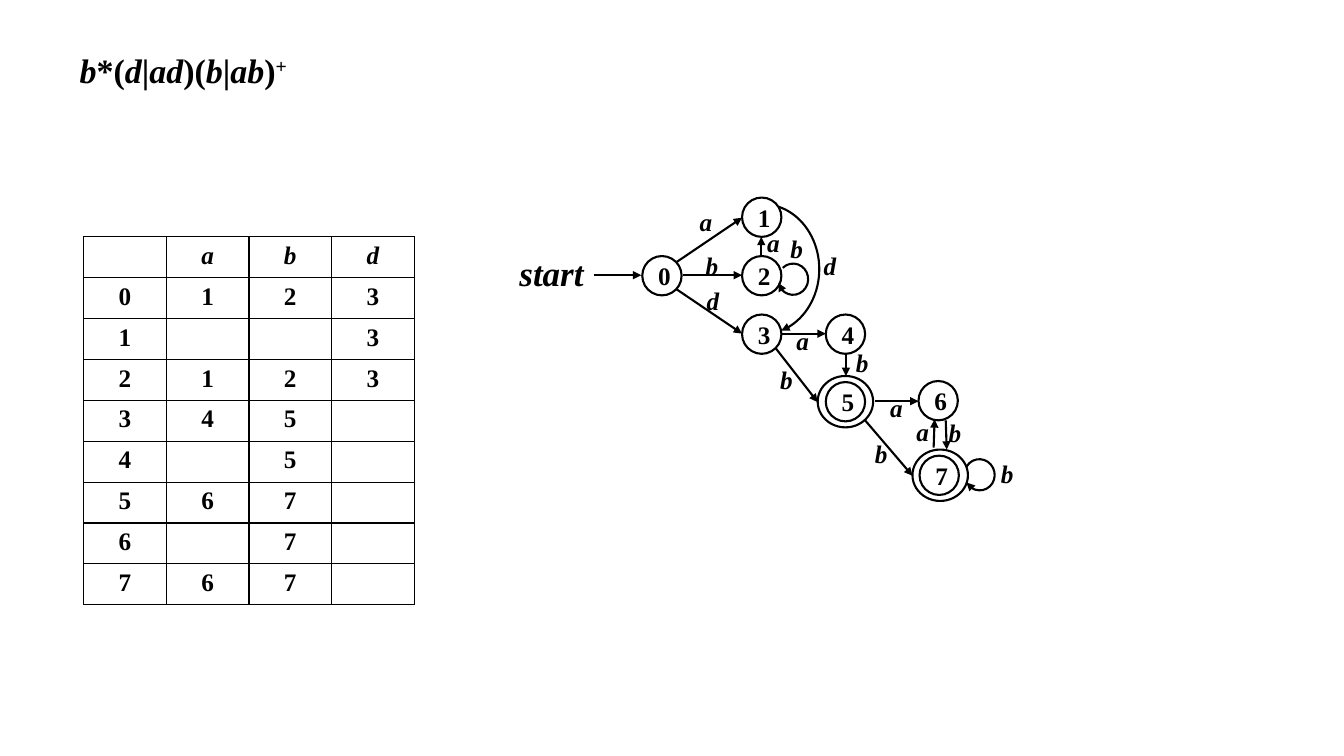
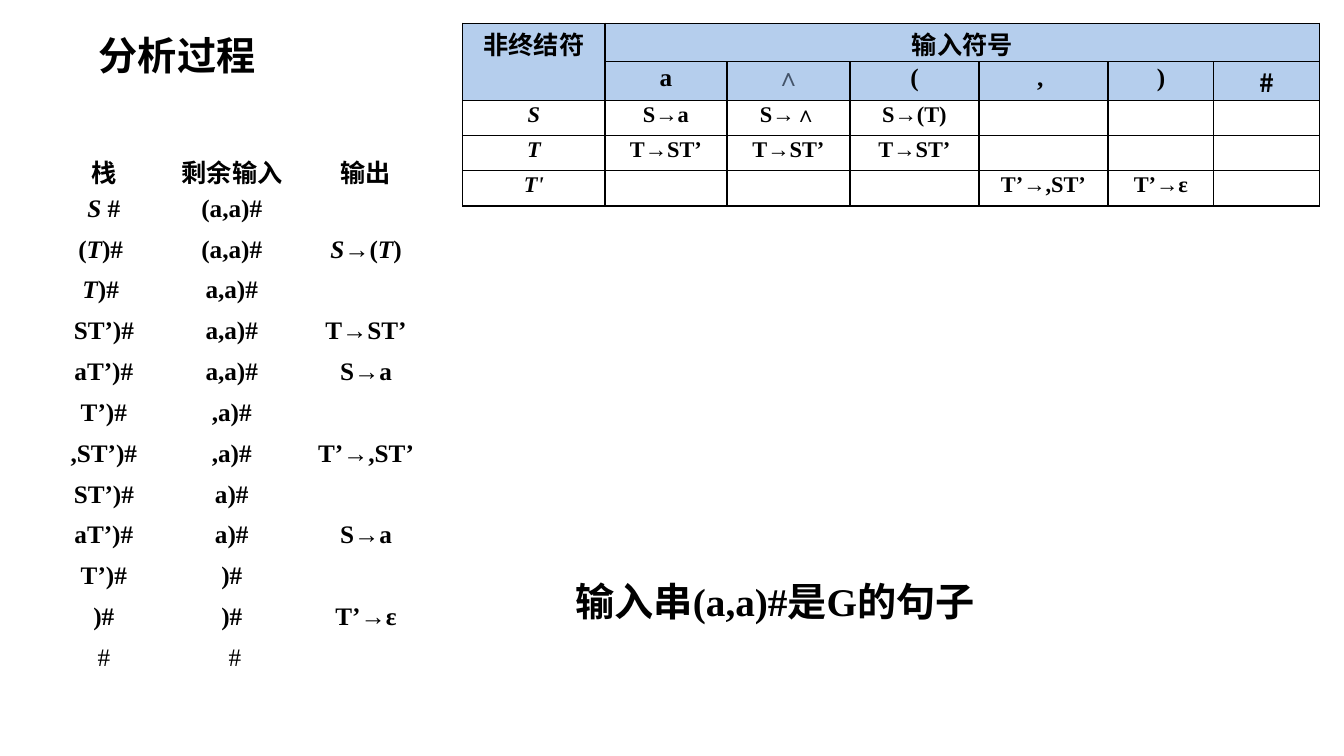
from lxml import etree
from pptx import Presentation
from pptx.dml.color import RGBColor
from pptx.enum import shapes, text
from pptx.oxml import ns
from pptx.util import Inches, Pt

COLORS = {"ink": "000000", "header": "B5CEED", "muted": "44546A"}
LATIN, CJK = "Times New Roman", "Noto Sans CJK SC"
NO_STYLE = "{2D5ABB26-0587-4C30-8999-92F81FD0307C}"
CENTER, LEFT = text.PP_ALIGN.CENTER, text.PP_ALIGN.LEFT
TOP, MIDDLE, BOTTOM = text.MSO_ANCHOR.TOP, text.MSO_ANCHOR.MIDDLE, text.MSO_ANCHOR.BOTTOM
NODE, RING = 0.39, (0.55, 0.51)

NODES = [(6.37, 2.54), (7.36, 1.96), (7.36, 2.54), (7.36, 3.12),
         (8.19, 3.12), (8.19, 3.79), (9.11, 3.78), (9.12, 4.52)]
FINAL_RINGS = [(8.11, 3.73), (9.05, 4.46)]
EDGES = [
    (5.89, 2.73, 6.36, 2.73), (6.71, 2.6, 7.36, 2.16), (6.77, 2.73, 7.36, 2.73),
    (6.71, 2.87, 7.36, 3.31), (7.55, 2.54, 7.55, 2.35), (7.75, 3.31, 8.19, 3.31),
    (7.69, 3.45, 8.11, 3.99), (8.39, 3.51, 8.39, 3.73), (8.68, 3.98, 9.11, 3.98),
    (8.58, 4.17, 9.05, 4.72), (9.38, 4.17, 9.39, 4.46), (9.26, 4.44, 9.27, 4.16),
]
ARCS = [
    (6.92, 2.11, 1.29, 1.12, 90, 116.36, 205.96),
    (7.71, 2.62, 0.31, 0.3, 94, 80.25, 42.92),
    (9.56, 4.56, 0.31, 0.3, 77.9, 80.25, 42.92),
]
EDGE_LABELS = {
    "a": [(6.84, 2), (7.51, 2.21), (7.8, 3.18), (8.73, 3.84), (8.99, 4.08)],
    "b": [(6.9, 2.43), (7.74, 2.27), (7.64, 3.57), (8.39, 3.4),
          (8.58, 4.3), (9.31, 4.09), (9.83, 4.5)],
    "d": [(6.91, 2.78), (8.07, 2.43)],
}
TRANSITIONS = [
    ["", "_a_", "_b_", "_d_"], ["0", "1", "2", "3"], ["1", "", "", "3"],
    ["2", "1", "2", "3"], ["3", "4", "5", ""], ["4", "", "5", ""],
    ["5", "6", "7", ""], ["6", "", "7", ""], ["7", "6", "7", ""],
]
PARSE_TABLE = [
    ["非终结符", "输入符号", "", "", "", "", ""],
    ["", "a", "∧", "(", ", ", ")", "#"],
    ["_S_", "S→a", "S→∧", "S→(T)", "", "", ""],
    ["_T_", "T→ST’", "T→ST’", "T→ST’", "", "", ""],
    ["_T'_", "", "", "", "T’→,ST’", "T’→ε", ""],
]
TRACE = [
    ["栈", "剩余输入 ", "输出"],
    ["_S _#", "(a,a)# ", ""],
    ["(_T_)# ", "(a,a)# ", "_S_→(_T_)"],
    ["_T_)# ", "a,a)# ", ""],
    ["ST’)#", "a,a)# ", "T→ST’"],
    ["aT’)#", "a,a)# ", "S→a"],
    ["T’)#", ",a)# ", ""],
    [",ST’)#", ",a)# ", "T’→,ST’"],
    ["ST’)#", "a)# ", ""],
    ["aT’)#", "a)# ", "S→a"],
    ["T’)#", ")# ", ""],
    [")#", ")# ", "T’→ε"],
    ["#", "#", ""],
]


def add_run(p, words, size=18, font=LATIN, color="ink", bold=True, italic=False):
    """Add one formatted run to a paragraph."""
    r = p.add_run()
    r.text = words
    f = r.font
    f.size, f.name, f.bold, f.italic = Pt(size), font, bold, italic
    f.color.rgb = RGBColor.from_string(COLORS[color])
    ea = etree.Element(ns.qn("a:ea"), typeface=CJK)
    f._element.find(ns.qn("a:latin")).addnext(ea)
    return r


def write(tf, markup, align=LEFT, **style):
    """Write a paragraph in which underscores switch italics on and off."""
    p = tf.paragraphs[0]
    p.alignment = align
    for i, words in enumerate(markup.split("_")):
        if words or not markup:
            add_run(p, words, italic=i % 2 == 1, **style)
    return p


def set_frame(tf, anchor=TOP):
    """Make a text frame wrap at a fixed size."""
    tf.word_wrap = True
    tf.auto_size = text.MSO_AUTO_SIZE.NONE
    tf.vertical_anchor = anchor


def add_text(slide, box, markup, align=LEFT, anchor=TOP, **style):
    """Add a text box."""
    tf = slide.shapes.add_textbox(*map(Inches, box)).text_frame
    set_frame(tf, anchor)
    write(tf, markup, align, **style)


def add_slide(prs, box, title, size, anchor):
    """Add a slide with its title placed and formatted."""
    slide = prs.slides.add_slide(prs.slide_layouts[5])
    sp = slide.shapes.title
    sp.left, sp.top, sp.width, sp.height = map(Inches, box)
    set_frame(sp.text_frame, anchor)
    return slide, write(sp.text_frame, title, size=size)


def set_line(sp, arrow=False):
    """Draw a black outline, with an optional arrowhead."""
    sp.line.color.rgb = RGBColor.from_string(COLORS["ink"])
    sp.line.width = Pt(1.5)
    if arrow:
        etree.SubElement(sp.line._get_or_add_ln(), ns.qn("a:tailEnd"), type="triangle")


def add_outline(slide, kind, box, arrow=False):
    """Add an unfilled preset shape."""
    sp = slide.shapes.add_shape(kind, *map(Inches, box))
    sp.shadow.inherit = False
    sp.fill.background()
    set_line(sp, arrow)
    return sp


def add_state(slide, x, y, name):
    """Add a numbered state circle."""
    sp = add_outline(slide, shapes.MSO_SHAPE.OVAL, (x, y, NODE, NODE))
    tf = sp.text_frame
    set_frame(tf, MIDDLE)
    tf.word_wrap = False
    tf.margin_right = tf.margin_bottom = tf.margin_top = 0
    tf.margin_left = Inches(0.05)
    write(tf, name, CENTER)


def add_arc(slide, x, y, w, h, rotation, *adjustments):
    """Add a curved arrow."""
    sp = add_outline(slide, shapes.MSO_SHAPE.ARC, (x, y, w, h), arrow=True)
    sp.rotation = rotation
    for i, value in enumerate(adjustments):
        sp.adjustments[i] = value


def add_edge(slide, *ends):
    """Add a straight arrow."""
    c = slide.shapes.add_connector(shapes.MSO_CONNECTOR.STRAIGHT, *map(Inches, ends))
    set_line(c, arrow=True)
    etree.SubElement(c._element.spPr, ns.qn("a:effectLst"))


def add_borders(cell):
    """Give a cell thin black borders on all sides."""
    tc_pr = cell._tc.get_or_add_tcPr()
    for i, side in enumerate("LRTB"):
        ln = etree.Element(ns.qn(f"a:ln{side}"), w=str(Pt(1)))
        fill = etree.SubElement(ln, ns.qn("a:solidFill"))
        etree.SubElement(fill, ns.qn("a:srgbClr"), val=COLORS["ink"])
        tc_pr.insert(i, ln)


def add_table(slide, x, y, widths, heights, rows, style=None, fills=0, border=False, inset=0.05):
    """Add a centred table whose first rows may have the header fill."""
    box = map(Inches, (x, y, sum(widths), sum(heights)))
    table = slide.shapes.add_table(len(rows), len(widths), *box).table
    table._tbl.tblPr.find(ns.qn("a:tableStyleId")).text = NO_STYLE
    table.first_row = table.horz_banding = False
    for col, width in zip(table.columns, widths):
        col.width = Inches(width)
    for i, (row, height) in enumerate(zip(rows, heights)):
        table.rows[i].height = Inches(height)
        for j, markup in enumerate(row):
            cell = table.cell(i, j)
            cell.margin_top, cell.margin_bottom = Inches(inset), 0
            if i < fills:
                cell.fill.solid()
                cell.fill.fore_color.rgb = RGBColor.from_string(COLORS["header"])
            else:
                cell.fill.background()
            if border:
                add_borders(cell)
            write(cell.text_frame, markup, CENTER, **(style(i, j) if style else {}))
    return table


def parse_style(i, j):
    """Return the text style of a parsing table cell."""
    if i > 1:
        return {"size": 16}
    if i == 0 or j == 6:
        return {"font": CJK}
    return {"color": "muted"} if j == 2 else {}


def trace_style(i, j):
    """Return the text style of a trace cell."""
    return {"bold": i < len(TRACE) - 1}


def build_automaton(prs):
    """Build the slide with the transition table and the state diagram."""
    slide, p = add_slide(prs, (0.69, 0.35, 10, 0.6), "_b_*(_d_|_ad_)(_b_|_ab_)", 24.3, BOTTOM)
    add_run(p, "+", size=24.3).font._element.set("baseline", "30000")
    add_table(slide, 0.83, 2.35, [0.82] * 4, [3.65 / 9] * 9, TRANSITIONS, border=True)
    add_text(slide, (4.97, 2.45, 1, 0.5), "_start_", CENTER, MIDDLE, size=25)
    for i, (x, y) in enumerate(NODES):
        add_state(slide, x, y, str(i))
    for x, y in FINAL_RINGS:
        add_outline(slide, shapes.MSO_SHAPE.OVAL, (x, y, *RING))
    for ends in EDGES:
        add_edge(slide, *ends)
    for arc in ARCS:
        add_arc(slide, *arc)
    for symbol, spots in EDGE_LABELS.items():
        for x, y in spots:
            add_text(slide, (x, y, 0.47, 0.4), f"_{symbol}_")


def build_analysis(prs):
    """Build the slide with the parsing table and the trace."""
    slide, _ = add_slide(prs, (0.88, 0.26, 3.5, 0.67), "分析过程", 28, TOP)
    table = add_table(slide, 4.59, 0.23, [1.41, 1.21, 1.22, 1.28, 1.28, 1.05, 1.05],
                      [0.38, 0.37, 0.35, 0.35, 0.35], PARSE_TABLE,
                      parse_style, fills=2, border=True, inset=0.02)
    table.cell(0, 0).merge(table.cell(1, 0))
    table.cell(0, 1).merge(table.cell(0, 6))
    add_table(slide, 0.38, 1.47, [1.3] * 3, [5.27 / 13] * 13, TRACE, trace_style)
    add_text(slide, (5.61, 5.68, 6.67, 0.67), "输入串(a,a)#是G的句子", size=28)


def main():
    """Build and save the presentation."""
    prs = Presentation()
    prs.slide_width, prs.slide_height = Inches(13.33), Inches(7.5)
    build_automaton(prs)
    build_analysis(prs)
    prs.save("out.pptx")


if __name__ == "__main__":
    main()
